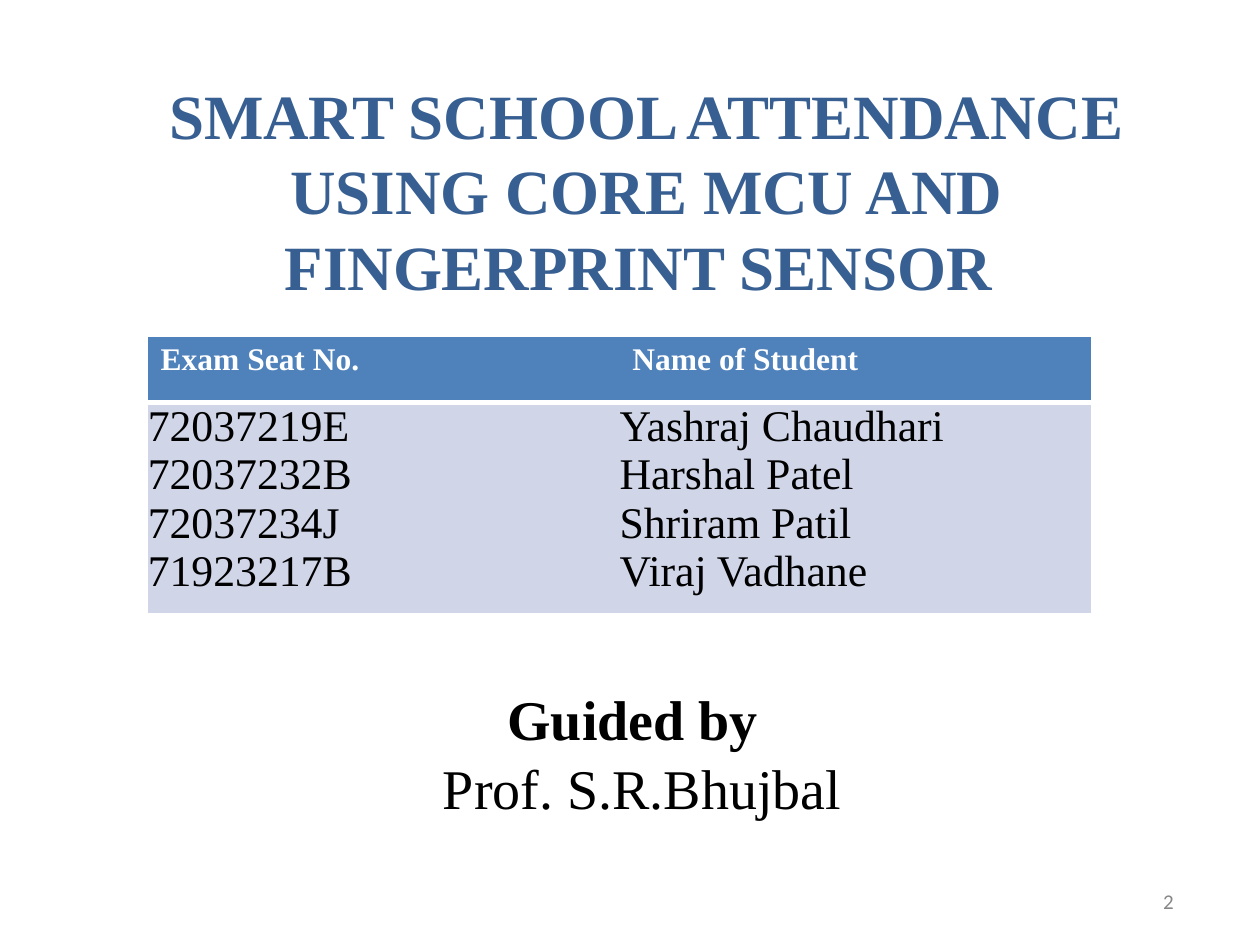
from dataclasses import dataclass

from lxml.etree import SubElement
from pptx import Presentation
from pptx.dml.color import RGBColor
from pptx.enum.text import PP_ALIGN
from pptx.oxml.ns import qn
from pptx.slide import Slide
from pptx.table import _Cell
from pptx.text.text import TextFrame
from pptx.util import Cm, Length, Pt

TITLE_BLUE = RGBColor(0x37, 0x5F, 0x92)
HEADER_BLUE = RGBColor(0x4F, 0x81, 0xBB)
BODY_LILAC = RGBColor(0xD0, 0xD6, 0xE8)
WHITE = RGBColor(0xFF, 0xFF, 0xFF)
BLACK = RGBColor(0, 0, 0)
GREY = RGBColor(0x87, 0x87, 0x87)
SERIF = "Times New Roman"


@dataclass(frozen=True)
class Line:
    text: str
    size: int
    color: RGBColor
    bold: bool = False
    font: str = SERIF
    indent: Length = Cm(0)
    align: PP_ALIGN = PP_ALIGN.LEFT
    before: Length = Pt(0)
    spacing: float | Length = 1.0


@dataclass(frozen=True)
class Student:
    seat: str
    name: str


STUDENTS = [
    Student("72037219E", "Yashraj Chaudhari"),
    Student("72037232B", "Harshal Patel"),
    Student("72037234J", "Shriram Patil"),
    Student("71923217B", "Viraj Vadhane"),
]


def write_lines(frame: TextFrame, lines: list[Line]) -> None:
    for index, line in enumerate(lines):
        paragraph = frame.add_paragraph() if index else frame.paragraphs[0]
        paragraph.text = line.text
        paragraph.alignment = line.align
        paragraph.space_before = line.before
        paragraph.line_spacing = line.spacing
        paragraph.font.name = line.font
        paragraph.font.size = Pt(line.size)
        paragraph.font.bold = line.bold
        paragraph.font.color.rgb = line.color
        properties = paragraph._p.get_or_add_pPr()
        properties.set("marL", str(line.indent))
        properties.set("indent", "0")


def add_text(slide: Slide, left: Length, top: Length, width: Length, height: Length,
             lines: list[Line], side_margin: Length = Cm(0)) -> None:
    frame = slide.shapes.add_textbox(left, top, width, height).text_frame
    frame.word_wrap = True
    frame.margin_left = frame.margin_right = side_margin
    frame.margin_top = frame.margin_bottom = Cm(0)
    write_lines(frame, lines)


def set_borders(cell: _Cell, divider: str) -> None:
    properties = cell._tc.get_or_add_tcPr()
    for side in ("lnL", "lnR", "lnT", "lnB"):
        border = SubElement(properties, qn(f"a:{side}"))
        if side == divider:
            border.set("w", str(Pt(3)))
            fill = SubElement(border, qn("a:solidFill"))
            SubElement(fill, qn("a:srgbClr")).set("val", str(WHITE))
        else:
            SubElement(border, qn("a:noFill"))


def fill_cell(cell: _Cell, lines: list[Line], color: RGBColor, divider: str,
              top_margin: Length) -> None:
    set_borders(cell, divider)
    cell.fill.solid()
    cell.fill.fore_color.rgb = color
    cell.margin_left = cell.margin_right = cell.margin_bottom = Cm(0)
    cell.margin_top = top_margin
    write_lines(cell.text_frame, lines)


def add_student_table(slide: Slide) -> None:
    table = slide.shapes.add_table(2, 2, Cm(2.98), Cm(6.8), Cm(19.02), Cm(5.56)).table
    table.horz_banding = False
    table.rows[0].height, table.rows[1].height = Cm(1.32), Cm(4.24)
    columns = [
        ("Exam Seat No.", [student.seat for student in STUDENTS]),
        ("Name of Student", [student.name for student in STUDENTS]),
    ]
    for index, (heading, entries) in enumerate(columns):
        header = Line(heading, 18, WHITE, bold=True, indent=Cm(0.26), before=Pt(2.6))
        fill_cell(table.cell(0, index), [header], HEADER_BLUE, "lnB", Cm(0.1))
        body = [Line(entry, 25, BLACK) for entry in entries]
        fill_cell(table.cell(1, index), body, BODY_LILAC, "lnT", Cm(0))


def main() -> None:
    presentation = Presentation()
    presentation.slide_width, presentation.slide_height = Cm(25.4), Cm(19.05)
    slide = presentation.slides.add_slide(presentation.slide_layouts[6])

    title = "SMART SCHOOL ATTENDANCE USING CORE MCU AND FINGERPRINT SENSOR "
    add_text(slide, Cm(1.28), Cm(1.54), Cm(23.5), Cm(4.65),
             [Line(title, 36, TITLE_BLUE, bold=True, align=PP_ALIGN.CENTER,
                   before=Pt(1))],
             side_margin=Cm(0.6))
    add_student_table(slide)
    add_text(slide, Cm(1.27), Cm(13.8), Cm(23.5), Cm(2.8), [
        Line("Guided by", 32, BLACK, bold=True, indent=Cm(8.96), before=Pt(0.9)),
        Line("Prof. S.R.Bhujbal", 32, BLACK, indent=Cm(7.66), before=Pt(0.9)),
    ])
    add_text(slide, Cm(23.35), Cm(17.98), Cm(0.64), Cm(0.48),
             [Line("2", 12, GREY, font="Calibri", indent=Cm(0.1), spacing=Pt(12.4))])
    presentation.save("out.pptx")


if __name__ == "__main__":
    main()
